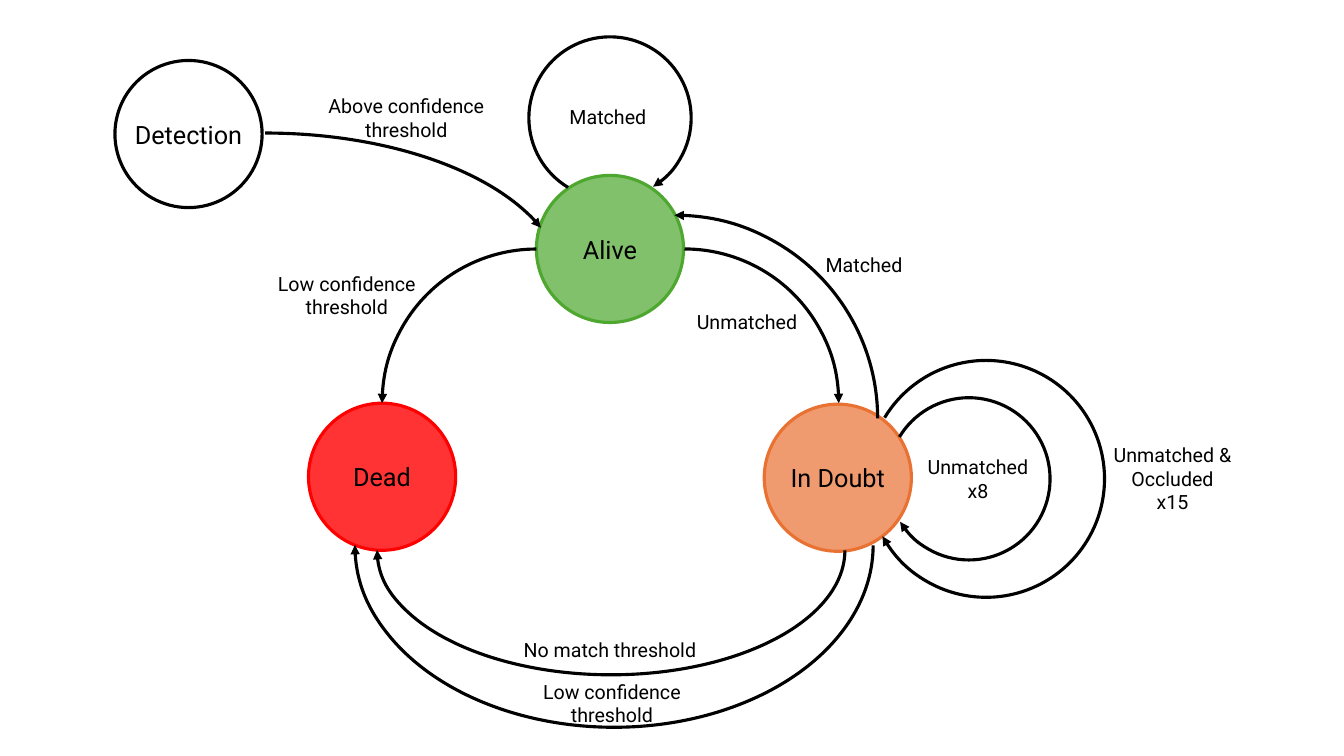
from dataclasses import dataclass

from lxml.etree import SubElement
from pptx import Presentation
from pptx.dml.color import RGBColor
from pptx.enum.shapes import MSO_SHAPE as Shape
from pptx.enum.text import MSO_ANCHOR as Anchor, PP_ALIGN as Align
from pptx.oxml.ns import qn
from pptx.util import Inches, Pt

COLS, ROWS = 13.33, 7.5


@dataclass(frozen=True)
class Theme:
    font: str = "Roboto"
    ink: str = "000000"
    alive: str = "4EA72E"
    doubt: str = "E97132"
    dead: str = "FF0000"
    state_size: int = 18
    label_size: int = 14
    stroke: float = 2.25
    diameter: float = 1.46


@dataclass(frozen=True)
class Box:
    left: int
    top: int
    width: int
    height: int

    def centred(self, cx, cy, w, h):
        col, row = self.width / COLS, self.height / ROWS
        return (int(self.left + (cx - w / 2) * col), int(self.top + (cy - h / 2) * row),
                int(w * col), int(h * row))


T = Theme()


def put_text(sp, text, size=T.label_size, color=T.ink, wrap=True, anchor=Anchor.TOP):
    tf = sp.text_frame
    tf.word_wrap = wrap
    tf.vertical_anchor = anchor
    tf.text = text
    for p in tf.paragraphs:
        p.alignment = Align.CENTER
        p.font.name = T.font
        p.font.size = Pt(size)
        p.font.color.rgb = RGBColor.from_string(color)


def outlined(s, kind, place, color=T.ink):
    sp = s.shapes.add_shape(kind, *place)
    sp.shadow.inherit = False
    sp.fill.background()
    sp.line.color.rgb = RGBColor.from_string(color)
    sp.line.width = Pt(T.stroke)
    return sp


def draw_states(s, box):
    states = [
        ("Detection", 1.87, 1.33, T.ink, 0),
        ("Alive", 6.05, 2.47, T.alive, 70),
        ("In Doubt", 8.31, 4.74, T.doubt, 70),
        ("Dead", 3.79, 4.73, T.dead, 80),
    ]
    for name, cx, cy, color, opacity in states:
        sp = outlined(s, Shape.OVAL, box.centred(cx, cy, T.diameter, T.diameter), color)
        if opacity:
            sp.fill.solid()
            sp.fill.fore_color.rgb = RGBColor.from_string(color)
            clr = sp._element.spPr.find(qn("a:solidFill"))[0]
            SubElement(clr, qn("a:alpha"), val=str(opacity * 1000))
        put_text(sp, name, size=T.state_size, wrap=False, anchor=Anchor.MIDDLE)


def draw_arc(s, place, start=270, end=0, rotation=0, arrow="tailEnd"):
    sp = outlined(s, Shape.ARC, place)
    sp.rotation = rotation
    for i, angle in enumerate((start, end)):
        sp.adjustments[i] = angle * 0.6
    SubElement(sp.line._get_or_add_ln(), qn(f"a:{arrow}"), type="triangle")


def draw_transitions(s, box):
    quarter = dict(start=270, end=0)
    half = dict(start=270, end=90.08, rotation=90)
    loop = dict(start=301.09, end=237.96)
    arcs = [
        (2.63, 2.85, 5.93, 3.06, dict(start=270, end=347.82)),
        (6.05, 1.17, 1.61, 1.61, dict(loop, rotation=180)),
        (6.79, 4, 3.06, 3.06, quarter),
        (6.69, 4.15, 4.03, 4.03, dict(quarter, arrow="headEnd")),
        (5.32, 4, 3.06, 3.06, dict(quarter, rotation=270, arrow="headEnd")),
        (9.61, 4.75, 1.61, 1.61, dict(loop, rotation=270)),
        (9.78, 4.75, 2.35, 2.35, dict(loop, end=241, rotation=270)),
        (6.06, 5.46, 2.47, 4.64, half),
        (6.09, 5.41, 3.61, 5.14, half),
    ]
    for cx, cy, w, h, shape in arcs:
        draw_arc(s, box.centred(cx, cy, w, h), **shape)


def draw_labels(s, box):
    low = "Low confidence\nthreshold"
    labels = [
        ("Above confidence threshold", 4.03, 1.17, 1.75, 0.57),
        ("Matched", 6.03, 1.16, 2.23, 0.34),
        ("Matched", 8.57, 2.63, 2.23, 0.34),
        ("Unmatched", 7.41, 3.2, 2.23, 0.34),
        (low, 3.44, 2.93, 1.75, 0.57),
        ("Unmatched\nx8", 9.7, 4.75, 2.23, 0.57),
        ("Unmatched &\nOccluded\nx15", 11.63, 4.75, 2.23, 0.81),
        ("No match threshold", 6.05, 6.45, 2.23, 0.34),
        (low, 6.07, 6.98, 2.52, 0.57),
    ]
    for text, *place in labels:
        put_text(s.shapes.add_textbox(*box.centred(*place)), text)


def main():
    prs = Presentation()
    prs.slide_width, prs.slide_height = Inches(COLS), Inches(ROWS)
    s = prs.slides.add_slide(prs.slide_layouts[6])
    box = Box(0, 0, prs.slide_width, prs.slide_height)
    for draw in (draw_states, draw_transitions, draw_labels):
        draw(s, box)
    prs.save("out.pptx")


if __name__ == "__main__":
    main()
